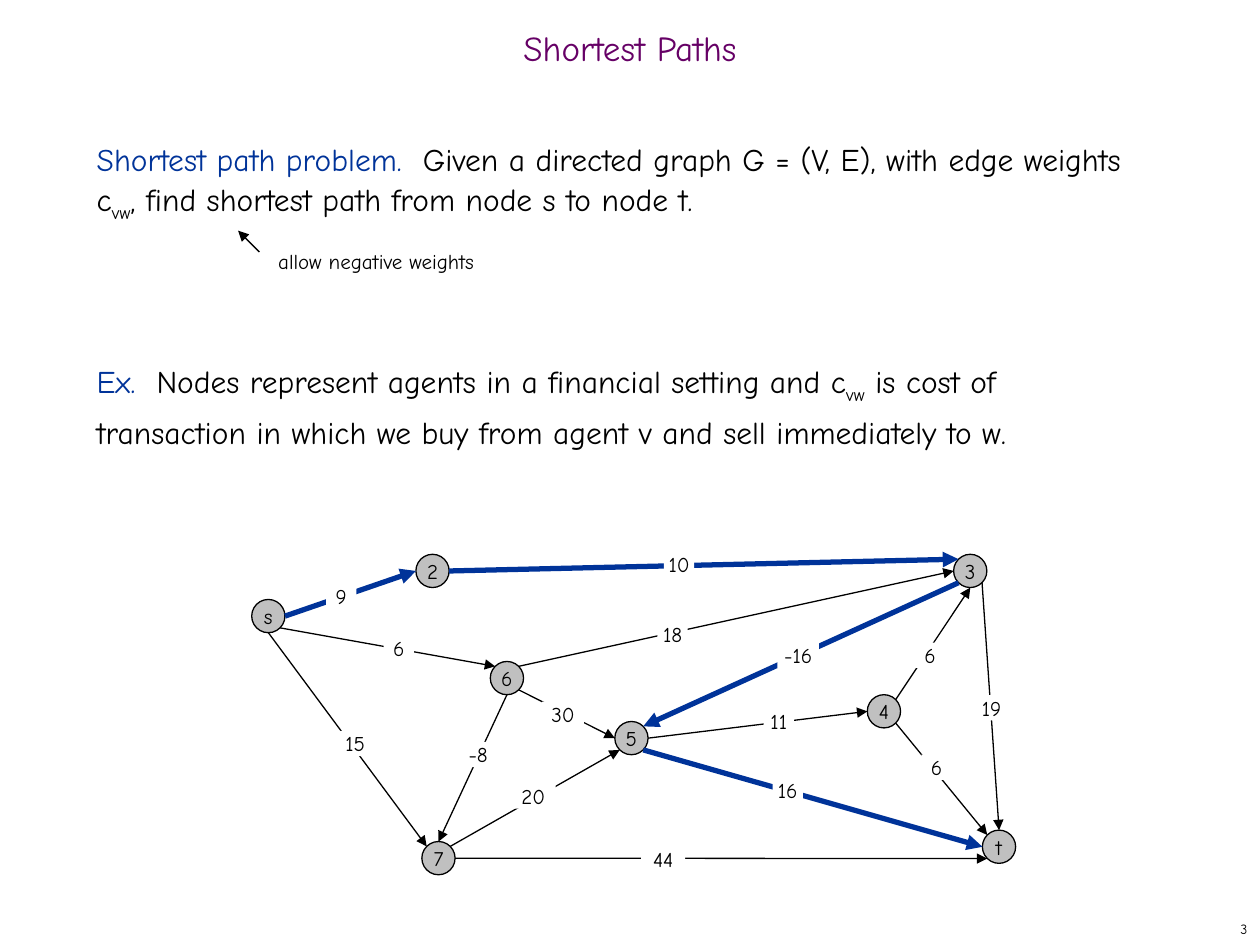
from lxml import etree
from pptx import Presentation
from pptx.dml.color import RGBColor
from pptx.enum.shapes import MSO_CONNECTOR, MSO_SHAPE
from pptx.enum.text import MSO_ANCHOR, MSO_AUTO_SIZE, PP_ALIGN
from pptx.oxml.ns import qn
from pptx.util import Cm, Pt

STRAIGHT = MSO_CONNECTOR.STRAIGHT
ELLIPSE, RECTANGLE = MSO_SHAPE.OVAL, MSO_SHAPE.RECTANGLE
MIDDLE, TOP = MSO_ANCHOR.MIDDLE, MSO_ANCHOR.TOP
LEFT, CENTER, RIGHT = PP_ALIGN.LEFT, PP_ALIGN.CENTER, PP_ALIGN.RIGHT
NO_AUTOFIT = MSO_AUTO_SIZE.NONE

FONT = "Comic Neue"
BLACK, WHITE, GRAY = "000000", "FFFFFF", "C0C0C0"
BLUE, PURPLE = "003399", "660066"

NODE_SIZE = 0.67
LABEL_HEIGHT = 0.51
NODES = {
    "s": (0.33, 1.32), "3": (14.48, 0.41), "t": (15.06, 5.97), "2": (3.64, 0.41),
    "6": (5.14, 2.57), "7": (3.76, 6.2), "4": (12.74, 3.24), "5": (7.65, 3.78),
}
DIAGONAL = 0.71
COMPASS = {
    "N": (0, -1), "S": (0, 1), "W": (-1, 0), "E": (1, 0),
    "NW": (-DIAGONAL, -DIAGONAL), "NE": (DIAGONAL, -DIAGONAL),
    "SW": (-DIAGONAL, DIAGONAL), "SE": (DIAGONAL, DIAGONAL),
}
# start node, side, end node, side, weight, label centre, label width
EDGES = [
    ("s", "E", "2", "W", "9", (1.8, 0.91), 0.61),
    ("s", "SE", "6", "NW", "6", (2.96, 1.96), 0.61),
    ("s", "S", "7", "NW", "15", (2.08, 3.89), 0.61),
    ("6", "NE", "3", "W", "18", (8.48, 1.68), 0.61),
    ("4", "NE", "3", "S", "6", (13.67, 2.11), 0.61),
    ("6", "SE", "5", "W", "30", (6.27, 3.3), 0.84),
    ("5", "SE", "t", "W", "16", (10.8, 4.83), 0.61),
    ("5", "E", "4", "W", "11", (10.62, 3.43), 0.61),
    ("4", "SE", "t", "NW", "6", (13.8, 4.37), 0.61),
    ("3", "SW", "5", "NE", "-16", (11.01, 2.11), 0.84),
    ("6", "S", "7", "N", "-8", (4.56, 4.11), 0.61),
    ("7", "NE", "5", "SW", "20", (5.67, 4.95), 0.91),
    ("2", "E", "3", "NW", "10", (8.61, 0.28), 0.61),
    ("7", "E", "t", "SW", "44", (8.29, 6.22), 0.89),
    ("3", "SE", "t", "N", "19", (14.91, 3.17), 0.61),
]
SHORTEST_PATH = ["s", "2", "3", "5", "t"]


def color(hex_string):
    return RGBColor.from_string(hex_string)


def place(shape, box):
    shape.left, shape.top, shape.width, shape.height = (Cm(value) for value in box)


def add_run(paragraph, text, size, hex_string=BLACK, subscript=False):
    run = paragraph.add_run()
    run.text = text
    run.font.name = FONT
    run.font.size = Pt(size)
    run.font.color.rgb = color(hex_string)
    if subscript:
        run.font._element.set("baseline", "-25000")


def format_frame(shape, anchor, alignment, margins=(0.25, 0.13), wrap=True):
    frame = shape.text_frame
    frame.auto_size = NO_AUTOFIT
    frame.word_wrap = wrap
    frame.vertical_anchor = anchor
    frame.margin_left = frame.margin_right = Cm(margins[0])
    frame.margin_top = frame.margin_bottom = Cm(margins[1])
    paragraph = frame.paragraphs[0]
    paragraph.alignment = alignment
    return paragraph


def add_arrow(slide, start, end, hex_string=BLACK, width=0.75):
    points = [Cm(value) for value in (*start, *end)]
    connector = slide.shapes.add_connector(STRAIGHT, *points)
    connector.line.color.rgb = color(hex_string)
    connector.line.width = Pt(width)
    etree.SubElement(connector.line._get_or_add_ln(), qn("a:tailEnd"), type="triangle")
    etree.SubElement(connector._element.spPr, qn("a:effectLst"))


def add_centered_shape(slide, kind, center, width, height, fill, text):
    x, y = center
    box = (x - width / 2, y - height / 2, width, height)
    shape = slide.shapes.add_shape(kind, *(Cm(value) for value in box))
    shape.shadow.inherit = False
    shape.fill.solid()
    shape.fill.fore_color.rgb = color(fill)
    shape.line.fill.background()
    add_run(format_frame(shape, MIDDLE, CENTER, (0, 0), False), text, 12)
    return shape


def add_text_box(slide, box, text, size, anchor, alignment, wrap):
    shape = slide.shapes.add_textbox(*(Cm(value) for value in box))
    add_run(format_frame(shape, anchor, alignment, wrap=wrap), text, size)


def fill_title(slide, box):
    title = slide.shapes.title
    place(title, box)
    paragraph = format_frame(title, MIDDLE, CENTER)
    paragraph.line_spacing = 0.7
    add_run(paragraph, "Shortest Paths", 20, PURPLE)


def fill_body(slide, box):
    body = slide.placeholders[1]
    place(body, box)
    problem = format_frame(body, TOP, LEFT)
    example = body.text_frame.add_paragraph()
    for paragraph, space_before in ((problem, 0), (example, 78)):
        paragraph.alignment = LEFT
        paragraph.line_spacing = Pt(26)
        paragraph.space_before = Pt(space_before)
        properties = paragraph._p.get_or_add_pPr()
        properties.set("marL", "0")
        properties.set("indent", "0")
        etree.SubElement(properties, qn("a:buNone"))

    add_run(problem, "Shortest path problem. ", 18, BLUE)
    add_run(problem, " Given a directed graph G = (V, E), with edge weights c", 18)
    add_run(problem, "vw", 18, subscript=True)
    add_run(problem, ", find shortest path from node s to node t.", 18)
    add_run(example, "Ex.  ", 18, BLUE)
    add_run(example, "Nodes represent agents in a financial setting and c", 18)
    add_run(example, "vw", 18, subscript=True)
    add_run(example, " is cost of transaction in which we buy from agent v "
                     "and sell immediately to w.", 18)


def add_annotation(slide, box):
    left, top, width, height = box
    add_arrow(slide, (left + 0.43, top + 0.43), (left, top))
    text_box = (left + 0.56, top + 0.23, width - 0.56, height - 0.23)
    add_text_box(slide, text_box, "allow negative weights", 12, TOP, LEFT, False)


def add_graph(slide, left, top):
    def locate(point):
        return left + point[0], top + point[1]

    def anchor_point(node, side):
        x, y = locate(NODES[node])
        across, down = COMPASS[side]
        return x + across * NODE_SIZE / 2, y + down * NODE_SIZE / 2

    for name, center in NODES.items():
        node = add_centered_shape(slide, ELLIPSE, locate(center), NODE_SIZE, NODE_SIZE,
                                  GRAY, name)
        node.line.color.rgb = color(BLACK)
        node.line.width = Pt(0.75)

    path_edges = set(zip(SHORTEST_PATH, SHORTEST_PATH[1:]))
    for start, start_side, end, end_side, *_ in EDGES:
        style = (BLUE, 3) if (start, end) in path_edges else (BLACK, 0.75)
        add_arrow(slide, anchor_point(start, start_side), anchor_point(end, end_side), *style)

    for *_, weight, center, width in EDGES:
        add_centered_shape(slide, RECTANGLE, locate(center), width, LABEL_HEIGHT,
                           WHITE, weight)


def main():
    presentation = Presentation()
    presentation.slide_width, presentation.slide_height = Cm(25.4), Cm(19.05)
    slide = presentation.slides.add_slide(presentation.slide_layouts[1])
    fill_title(slide, (0, 0.43, 25.4, 1.27))
    fill_body(slide, (1.7, 2.54, 21.8, 15.04))
    add_graph(slide, 5.08, 11.1)
    add_annotation(slide, (4.8, 4.65, 5.03, 0.99))
    add_text_box(slide, (20.12, 18.42, 5.28, 0.63), "3", 8, MIDDLE, RIGHT, True)
    presentation.save("out.pptx")


if __name__ == "__main__":
    main()
